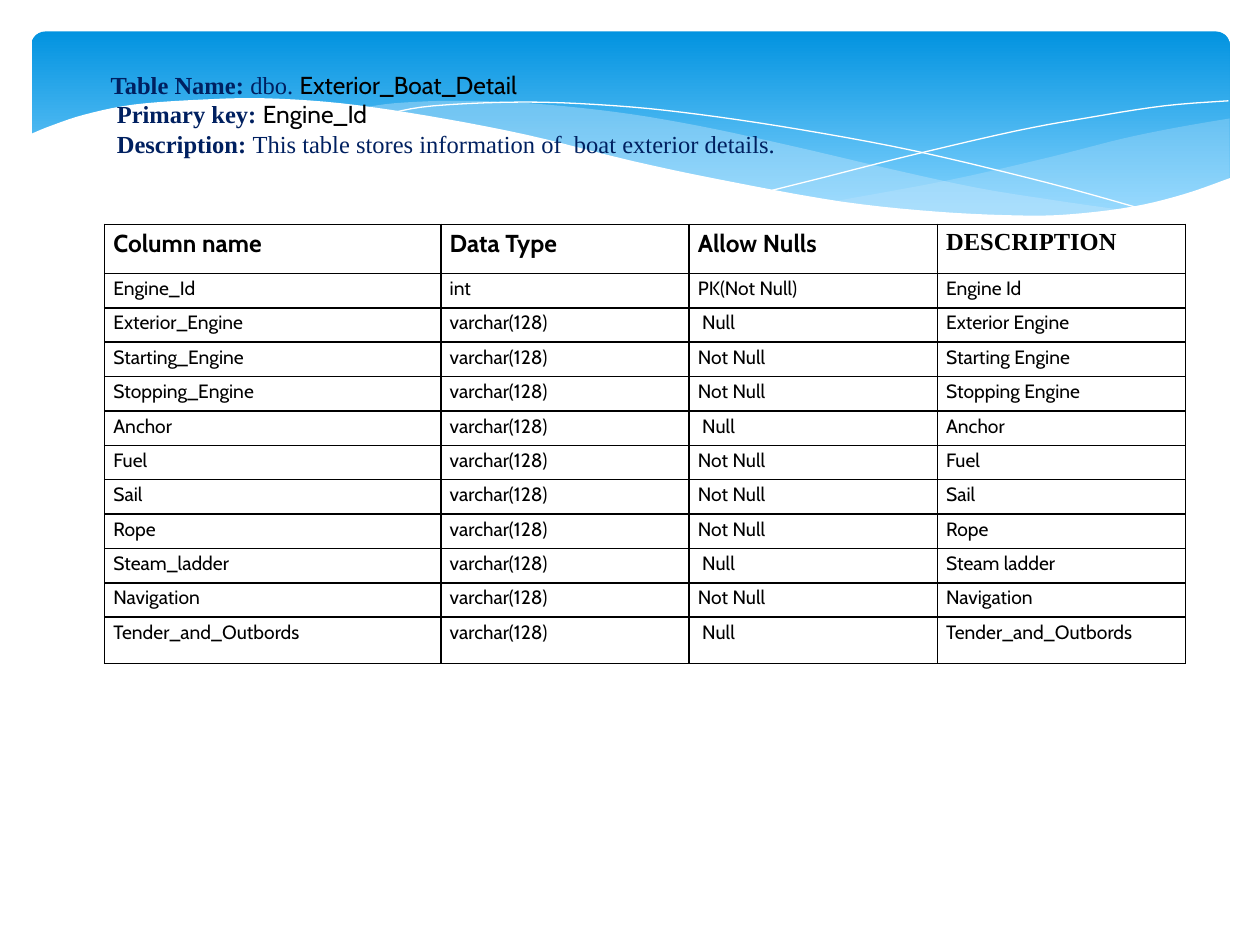
from lxml import etree
from pptx import Presentation, util as u
from pptx.dml.color import RGBColor
from pptx.enum import shapes, text
from pptx.oxml.ns import qn

THEME = {
    "sans": "Cabin", "serif": "Times New Roman",
    "ink": "000000", "navy": "002060", "white": "FFFFFF", "pale": "C6E7FC",
    "sky_top": "0293E0", "sky_bottom": "83D3FE",
    "large": 14, "small": 11, "border": 1,
}
SERIF_NAVY = {"font": THEME["serif"], "color": THEME["navy"]}
HEADING = [
    [("Table Name: ", {"bold": True, **SERIF_NAVY}), ("dbo. ", SERIF_NAVY), ("Exterior_Boat_Detail", {})],
    [(" Primary key: ", {"bold": True, **SERIF_NAVY}), ("Engine_Id", {})],
    [(" Description: ", {"bold": True, **SERIF_NAVY}),
     ("This table stores information of  boat exterior details.", SERIF_NAVY)],
]
HEADERS = ["Column name", "Data Type", "Allow Nulls", "DESCRIPTION"]
FIELDS = [
    ("Engine_Id", "int", "PK(Not Null)", "Engine Id"),
    ("Exterior_Engine", "varchar(128)", " Null", "Exterior Engine"),
    ("Starting_Engine", "varchar(128)", "Not Null", "Starting Engine"),
    ("Stopping_Engine", "varchar(128)", "Not Null", "Stopping Engine"),
    ("Anchor", "varchar(128)", " Null", "Anchor"),
    ("Fuel", "varchar(128)", "Not Null", "Fuel"),
    ("Sail", "varchar(128)", "Not Null", "Sail"),
    ("Rope", "varchar(128)", "Not Null", "Rope"),
    ("Steam_ladder", "varchar(128)", " Null", "Steam ladder"),
    ("Navigation", "varchar(128)", "Not Null", "Navigation"),
    ("Tender_and_Outbords", "varchar(128)", " Null", "Tender_and_Outbords"),
]
WAVES = [
    {"fill": THEME["pale"], "alpha": 29, "curves": [
        [(9.76, 0.94), (9.35, 1.01), (8.91, 1.1), (8.32, 1.25), (7.53, 1.43), (6.61, 1.6)],
        [(6.61, 1.6), (7.05, 1.65), (7.57, 1.7), (8.14, 1.72), (8.63, 1.7), (9.13, 1.62), (9.49, 1.52), (9.76, 1.41)]]},
    {"fill": THEME["pale"], "alpha": 40, "curves": [
        [(8.93, 1.67), (8.37, 1.59), (7.75, 1.49), (7.06, 1.34), (6.29, 1.16), (5.55, 1), (4.89, 0.89),
         (4.2, 0.82), (3.61, 0.8), (3.13, 0.82), (2.86, 0.86)],
        [(2.86, 0.86), (3.42, 0.94), (4.04, 1.06), (4.91, 1.26), (5.66, 1.43), (6.34, 1.56), (6.95, 1.65),
         (7.48, 1.7), (8.07, 1.73), (8.57, 1.71), (8.93, 1.67)]]},
    {"curves": [[(3.09, 0.9), (3.44, 0.84), (4.16, 0.81), (4.89, 0.84), (5.56, 0.91), (6.36, 1.03),
                 (7.27, 1.2), (8.31, 1.45), (9.07, 1.66)]]},
    {"curves": [[(6.13, 1.51), (6.53, 1.41), (7.2, 1.24), (8.06, 1.04), (8.66, 0.93), (9.24, 0.84), (9.75, 0.8)]]},
    {"fill": THEME["white"], "alpha": 100, "curves": [
        [(9.77, 1.41), (9.4, 1.54), (8.99, 1.64), (8.5, 1.7), (8.09, 1.71), (7.44, 1.68), (6.68, 1.6),
         (5.79, 1.44), (5.03, 1.28), (4.18, 1.07), (3.4, 0.92), (2.71, 0.82), (2.11, 0.78), (1.61, 0.79),
         (1.06, 0.83), (0.67, 0.91), (0.4, 1), (0.23, 1.07)],
        [(0.23, 2.24), (9.77, 2.24)]]},
]
TABLE_BOX = (0.83, 1.78, 8.58, 3.49)
FIRST_COLUMN = 2.67
HEADER_HEIGHT, LAST_HEIGHT = 0.39, 0.37


def rgb(value):
    return RGBColor.from_string(value)


def add_text(paragraph, content, font=THEME["sans"], size=THEME["large"], color=THEME["ink"], bold=False):
    run = paragraph.add_run()
    run.text = content
    run.font.name, run.font.size, run.font.bold = font, u.Pt(size), bold
    run.font.color.rgb = rgb(color)


def smooth_curve(points, steps=5):
    padded = [points[0], *points, points[-1]]
    result = [points[0]]
    for a, b, c, d in zip(padded, padded[1:], padded[2:], padded[3:]):
        for step in range(1, steps + 1):
            t = step / steps
            result.append(tuple(
                0.5 * (2 * q + (r - p) * t + (2 * p - 5 * q + 4 * r - s) * t ** 2 + (3 * q - p - 3 * r + s) * t ** 3)
                for p, q, r, s in zip(a, b, c, d)))
    return result


def add_banner(slide):
    banner = slide.shapes.add_shape(shapes.MSO_SHAPE.ROUNDED_RECTANGLE, *map(u.Inches, (0.25, 0.25, 9.51, 1.56)))
    banner.adjustments[0] = 0.07
    banner.shadow.inherit = False
    banner.line.fill.background()
    banner.fill.gradient()
    banner.fill.gradient_angle = 270
    stops = ((0, THEME["sky_top"]), (0.9, THEME["sky_bottom"]))
    for stop, (position, color) in zip(banner.fill.gradient_stops, stops):
        stop.position, stop.color.rgb = position, rgb(color)


def add_wave(slide, curves, fill=None, alpha=100):
    points = [tuple(map(u.Inches, point)) for curve in curves for point in smooth_curve(curve)]
    builder = slide.shapes.build_freeform(*points[0])
    builder.add_line_segments(points[1:], close=fill is not None)
    wave = builder.convert_to_shape()
    wave.shadow.inherit = False
    if fill is None:
        wave.fill.background()
        wave.line.color.rgb = rgb(THEME["white"])
        wave.line.width = u.Pt(0)
        return
    wave.line.fill.background()
    wave.fill.solid()
    wave.fill.fore_color.rgb = rgb(fill)
    if alpha < 100:
        color = wave.fill._xPr.find(".//" + qn("a:srgbClr"))
        etree.SubElement(color, qn("a:alpha"), val=str(alpha * 1000))


def add_heading(slide):
    frame = slide.shapes.add_textbox(*map(u.Inches, (0.53, 0.5, 8.25, 0.81))).text_frame
    frame.word_wrap = True
    frame.auto_size = text.MSO_AUTO_SIZE.SHAPE_TO_FIT_TEXT
    frame.vertical_anchor = text.MSO_ANCHOR.MIDDLE
    for index, runs in enumerate(HEADING):
        paragraph = frame.add_paragraph() if index else frame.paragraphs[0]
        paragraph._p.get_or_add_pPr().set("marL", str(u.Inches(0.25)))
        for content, style in runs:
            add_text(paragraph, content, **style)


def add_borders(cell):
    properties = cell._tc.get_or_add_tcPr()
    for index, side in enumerate(("lnL", "lnR", "lnT", "lnB")):
        border = etree.Element(qn("a:" + side), w=str(u.Pt(THEME["border"])))
        fill = etree.SubElement(border, qn("a:solidFill"))
        etree.SubElement(fill, qn("a:srgbClr"), val=THEME["ink"])
        properties.insert(index, border)


def add_field_table(slide):
    rows = [HEADERS, *FIELDS]
    table = slide.shapes.add_table(len(rows), len(HEADERS), *map(u.Inches, TABLE_BOX)).table
    table.first_row = table.horz_banding = False
    width, height = TABLE_BOX[2:]
    other_column = (width - FIRST_COLUMN) / (len(HEADERS) - 1)
    field_height = (height - HEADER_HEIGHT - LAST_HEIGHT) / (len(rows) - 2)
    for index, column in enumerate(table.columns):
        column.width = u.Inches(other_column if index else FIRST_COLUMN)
    heights = [HEADER_HEIGHT] + [field_height] * (len(rows) - 2) + [LAST_HEIGHT]
    for row, row_height, values in zip(table.rows, heights, rows):
        row.height = u.Inches(row_height)
        is_header = values is HEADERS
        for cell, value in zip(row.cells, values):
            cell.margin_left = cell.margin_right = u.Inches(0.07)
            cell.margin_top = cell.margin_bottom = 0
            cell.fill.background()
            add_borders(cell)
            paragraph = cell.text_frame.paragraphs[0]
            paragraph.line_spacing = 1.15
            add_text(paragraph, value, bold=is_header,
                     size=THEME["large" if is_header else "small"],
                     font=THEME["serif" if value == "DESCRIPTION" else "sans"])


def main():
    presentation = Presentation()
    presentation.slide_width, presentation.slide_height = u.Inches(10), u.Inches(7.5)
    slide = presentation.slides.add_slide(presentation.slide_layouts[6])
    add_banner(slide)
    for wave in WAVES:
        add_wave(slide, **wave)
    add_heading(slide)
    add_field_table(slide)
    presentation.save("out.pptx")


if __name__ == "__main__":
    main()
